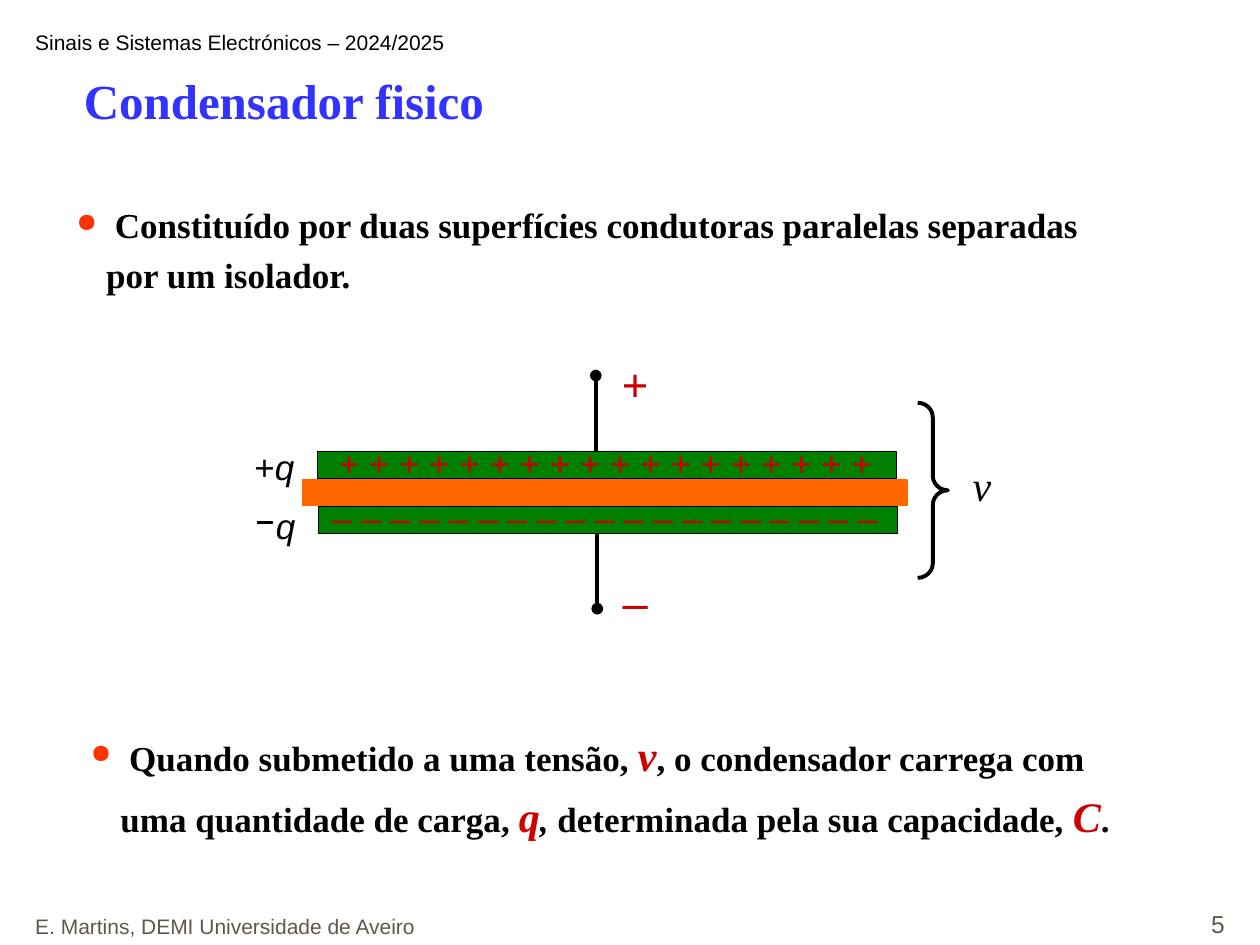
from pptx import Presentation
from pptx.dml.color import RGBColor
from pptx.enum.shapes import MSO_CONNECTOR, MSO_SHAPE
from pptx.enum.text import MSO_ANCHOR, PP_ALIGN
from pptx.oxml.ns import qn
from pptx.util import Cm, Pt
from lxml.etree import SubElement

BLACK = RGBColor(0x00, 0x00, 0x00)
BLUE = RGBColor(0x33, 0x33, 0xFF)
RED = RGBColor(0xCC, 0x00, 0x00)
GREEN = RGBColor(0x00, 0x80, 0x00)
ORANGE = RGBColor(0xFF, 0x66, 0x00)
GREY = RGBColor(0x5E, 0x57, 0x4E)
DOT = RGBColor(0xFF, 0x33, 0x00)
SANS, SERIF = "Arial", "Times New Roman"


def style(para, size, color, name=SANS, bold=False, italic=False):
    font = para.font
    font.name, font.size = name, Pt(size)
    font.bold, font.italic = bold, italic
    font.color.rgb = color


def add_text(slide, box, text, size, color, wrap=True, **look):
    """Text box with one paragraph; box is left, top, width, height in cm."""
    frame = slide.shapes.add_textbox(*map(Cm, box)).text_frame
    frame.word_wrap = wrap
    para = frame.paragraphs[0]
    para.add_run().text = text
    style(para, size, color, **look)
    return frame


def add_bar(slide, box, fill, edge, width):
    bar = slide.shapes.add_shape(MSO_SHAPE.RECTANGLE, *map(Cm, box))
    bar.shadow.inherit = False
    bar.fill.solid()
    bar.fill.fore_color.rgb = fill
    bar.line.color.rgb = edge
    bar.line.width = Pt(width)


def add_line(slide, start, end, width, dot=False):
    line = slide.shapes.add_connector(
        MSO_CONNECTOR.STRAIGHT, *map(Cm, (*start, *end)))
    line.line.color.rgb = BLACK
    line.line.width = Pt(width)
    if dot:
        SubElement(line.line._get_or_add_ln(), qn("a:tailEnd"), type="oval")
    SubElement(line._element.spPr, qn("a:effectLst"))


def add_bullet(slide, box, parts):
    """Bulleted sentence; each part is a text and whether it is a symbol."""
    frame = slide.shapes.add_textbox(*map(Cm, box)).text_frame
    frame.word_wrap = True
    para = frame.paragraphs[0]
    para.line_spacing = 1.2
    props = para._p.get_or_add_pPr()
    props.set("marL", str(Cm(0.6)))
    props.set("indent", str(-Cm(0.6)))
    SubElement(SubElement(props, qn("a:buClr")), qn("a:srgbClr"), val=str(DOT))
    SubElement(props, qn("a:buSzPct"), val="75000")
    SubElement(props, qn("a:buChar"), char="●")
    tabs = SubElement(props, qn("a:tabLst"))
    SubElement(tabs, qn("a:tab"), pos=str(Cm(1.6)), algn="l")
    style(para, 20, BLACK, name=SERIF, bold=True)
    for text, symbol in parts:
        run = para.add_run()
        run.text = text
        if symbol:
            run.font.size = Pt(24)
            run.font.color.rgb = RED
            run.font.italic = True
    return para


def add_diagram(slide, left, top):
    """Capacitor with its plates, leads, charges and voltage."""
    def at(x, y, *size):
        return (left + x, top + y, *size)

    # Plates
    wide, thick = 11.66, 0.55
    upper, lower = 2.05, 3.16
    add_bar(slide, at(1.52, upper, wide, thick), GREEN, BLACK, 0.25)
    add_bar(slide, at(1.54, lower, wide, thick), GREEN, BLACK, 0.25)

    # Leads with terminals
    add_line(slide, at(7.16, lower + thick), at(7.16, 5.23), 2.25, dot=True)
    add_line(slide, at(7.13, upper), at(7.13, 0.53), 2.25, dot=True)

    # Voltage brace
    brace = slide.shapes.add_shape(
        MSO_SHAPE.RIGHT_BRACE, *map(Cm, at(13.62, 1.08, 0.61, 3.53)))
    brace.shadow.inherit = False
    brace.adjustments[0] = 0.48
    brace.fill.background()
    brace.line.color.rgb = BLACK
    brace.line.width = Pt(2.25)
    add_text(slide, at(14.48, 2.1, 0.89, 1.27), "v", 24, BLACK,
             wrap=False, name=SERIF, italic=True)

    # Charges on the plates
    add_text(slide, at(1.7, 1.74, 11.79, 1.12), " ".join("+" * 18), 20, RED)
    add_text(slide, at(1.57, 2.54, 11.51, 1.12), " ".join("_" * 19), 20, RED,
             wrap=False)

    # Charge labels
    label = add_text(slide, at(0, 1.82, 1.5, 1.12), "+", 20, BLACK)
    run = label.paragraphs[0].add_run()
    run.text = "q"
    run.font.italic = True
    add_text(slide, at(0.43, 3, 0.89, 1.12), "q", 20, BLACK,
             wrap=False, italic=True)
    add_line(slide, at(0.3, 3.5), at(0.63, 3.5), 1.5)

    # Insulator
    add_bar(slide, at(1.22, 2.64, 12.19, 0.51), ORANGE, ORANGE, 1)

    # Polarity signs
    signs = add_text(slide, at(6.96, 0.02, 1.93, 5.77), "+", 26, RED)
    minus = signs.add_paragraph()
    minus.add_run().text = "–"
    minus.space_before = Pt(93)
    style(minus, 26, RED)
    for para in signs.paragraphs:
        para.alignment = PP_ALIGN.CENTER


def add_footer(slide, top):
    credit = add_text(slide, (0.46, top, 13.31, 1.27),
                      "E. Martins, DEMI Universidade de Aveiro", 12, GREY)
    number = add_text(slide, (19.66, top, 5.28, 1.27), "5", 14, GREY)
    number.paragraphs[0].alignment = PP_ALIGN.RIGHT
    for frame in (credit, number):
        frame.vertical_anchor = MSO_ANCHOR.BOTTOM


def main():
    deck = Presentation()
    deck.slide_width, deck.slide_height = Cm(25.4), Cm(19.05)
    slide = deck.slides.add_slide(deck.slide_layouts[6])

    # Header and title
    add_text(slide, (0.46, 0.48, 23.29, 0.76),
             "Sinais e Sistemas Electrónicos – 2024/2025", 12, BLACK)
    add_text(slide, (1.44, 1.3, 21.67, 2.06), "Condensador fisico", 28, BLUE,
             name=SERIF, bold=True)

    # Body
    add_bullet(slide, (1.29, 3.8, 21.62, 2.29), [
        (" Constituído por duas superfícies condutoras paralelas separadas "
         "por um isolador.", False)])
    add_diagram(slide, 4.88, 7.04)
    law = add_bullet(slide, (1.58, 14.38, 21.31, 2.69), [
        (" Quando submetido a uma tensão, ", False), ("v", True),
        (", o condensador carrega com uma quantidade de carga, ", False),
        ("q", True), (",", False),
        (" determinada pela sua capacidade, ", False), ("C", True),
        (".", False)])
    law.runs[4].font.italic = True

    add_footer(slide, 17.78)
    deck.save("out.pptx")


if __name__ == "__main__":
    main()
